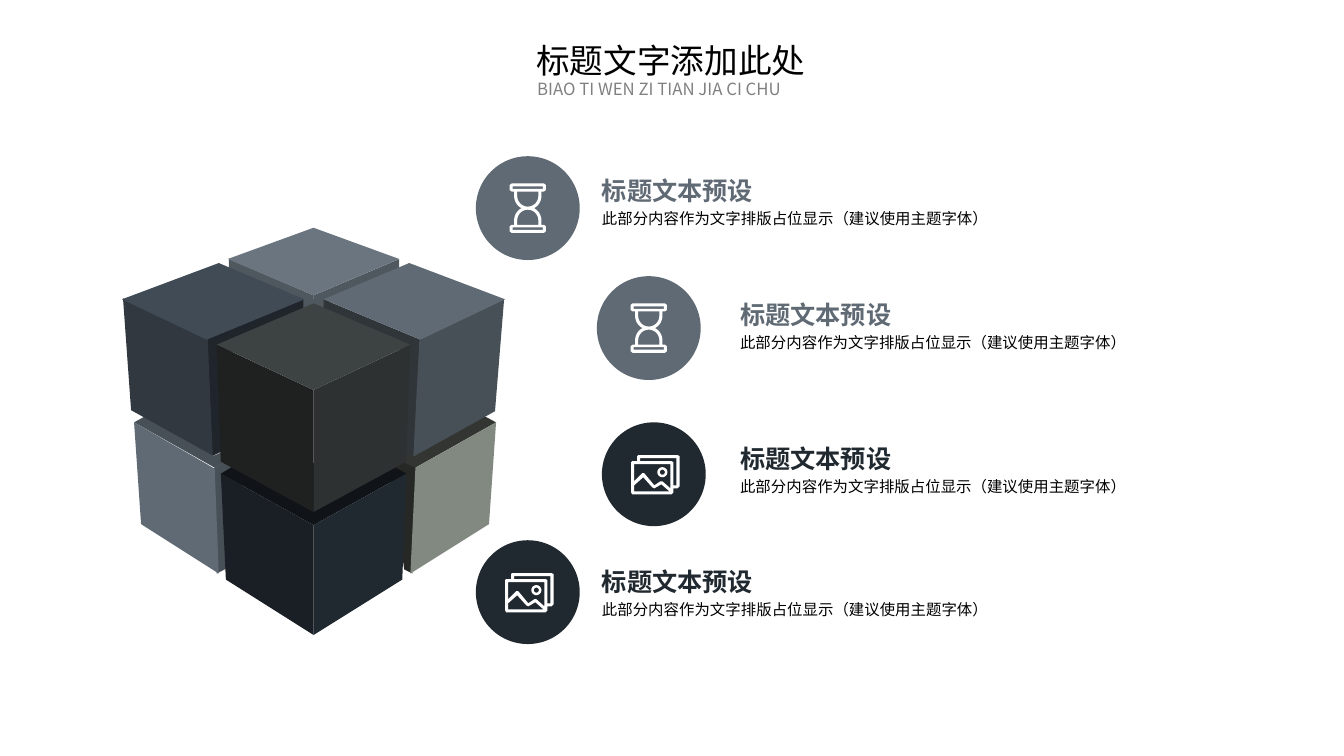
"""Build a slide with a cube of eight blocks and four captioned icons."""
from dataclasses import dataclass
from math import cos, radians, sin
from typing import Callable

from lxml.etree import SubElement
from pptx import Presentation
from pptx.dml.color import RGBColor
from pptx.enum.shapes import MSO_SHAPE
from pptx.enum.text import MSO_ANCHOR as Anchor, MSO_AUTO_SIZE as AutoSize, PP_ALIGN as Align
from pptx.oxml.ns import qn
from pptx.util import Inches, Pt

Point = tuple[float, float]
Contour = list[Point]


@dataclass(frozen=True)
class Theme:
    font: str = "Noto Sans CJK SC"
    slate: str = "606A74"
    navy: str = "212930"
    white: str = "FFFFFF"
    black: str = "000000"
    gray: str = "808080"
    title_size: int = 24
    subtitle_size: int = 12
    heading_size: int = 18
    body_size: int = 11


THEME = Theme()
CIRCLE_SIZE = 1.03
TEXT_WIDTH = 5.21
HEADING_HEIGHT = 0.42
BODY_HEIGHT = 0.96
HEADING = "标题文本预设"
BODY = "此部分内容作为文字排版占位显示（建议使用主题字体）"


@dataclass(frozen=True)
class Face:
    color: str
    corners: Contour


@dataclass(frozen=True)
class Item:
    color: str
    circle: Point
    text: Point
    draw_icon: Callable


CUBE_FACES = [
    Face("50585F", [(2.27, 2.57), (2.27, 2.7), (2.85, 2.97), (2.88, 3.14), (3.11, 3.04), (3.11, 2.93)]),
    Face("485057", [(2.15, 5.69), (2.44, 5.54), (2.37, 4.5), (2.11, 4.65)]),
    Face("20252B", [(2.09, 4.53), (2.29, 4.44), (2.27, 3.52), (3.01, 3.09), (3.01, 2.97), (2.04, 3.37)]),
    Face("262825", [(4.13, 4.64), (3.83, 4.49), (3.71, 4.53), (3.75, 4.72), (3.88, 4.79), (4.01, 5.65),
                    (4.09, 5.69)]),
    Face("50585F", [(3.11, 2.93), (3.96, 2.57), (3.96, 2.67), (3.27, 2.97), (3.28, 3.12), (3.1, 3.08)]),
    Face("101418", [(2.19, 4.7), (2.42, 4.56), (3.91, 4.63), (4.03, 4.7), (3.11, 5.21)]),
    Face("323531", [(4.92, 4.19), (4.6, 4.02), (3.92, 4.28), (4.01, 4.59), (4.12, 4.64)]),
    Face("485057", [(1.33, 4.19), (1.64, 4.02), (2.12, 4.52), (2.24, 4.47), (2.24, 4.58), (2.13, 4.64)]),
    Face("606A74", [(1.4, 5.2), (2.17, 5.69), (2.13, 4.65), (1.33, 4.19)]),
    Face("313840", [(1.3, 4.07), (2.11, 4.52), (2.06, 3.36), (1.22, 2.96)]),
    Face("30353A", [(3.21, 2.97), (3.21, 3.11), (3.97, 3.44), (3.97, 4.47), (4.12, 4.53), (4.17, 3.37)]),
    Face("1F2121", [(2.15, 3.42), (2.19, 4.58), (3.11, 5.08), (3.11, 3.87)]),
    Face("191F24", [(3.11, 6.3), (3.11, 5.21), (2.19, 4.7), (2.24, 5.75)]),
    Face("212930", [(3.11, 5.21), (4.03, 4.7), (3.99, 5.75), (3.11, 6.3)]),
    Face("2E3131", [(3.11, 3.87), (4.07, 3.42), (4.03, 4.58), (3.11, 5.08)]),
    Face("485057", [(4.16, 3.37), (4.1, 4.53), (4.91, 4.08), (5, 2.97)]),
    Face("828980", [(4.07, 5.69), (4.12, 4.64), (4.92, 4.19), (4.85, 5.2)]),
    Face("3D4242", [(2.15, 3.42), (3.11, 3.01), (4.07, 3.42), (3.11, 3.87)]),
    Face("414B56", [(1.21, 2.97), (2.17, 2.61), (3.02, 2.97), (2.05, 3.37)]),
    Face("606A74", [(4.17, 3.37), (3.21, 2.97), (4.06, 2.61), (5.01, 2.97)]),
    Face("6A757F", [(3.11, 2.26), (3.96, 2.57), (3.11, 2.93), (2.26, 2.57)]),
]


def paint(shape, color: str) -> None:
    shape.shadow.inherit = False
    shape.fill.solid()
    shape.fill.fore_color.rgb = RGBColor.from_string(color)
    shape.line.fill.background()


def draw_outline(shapes, contours: list[Contour], color: str, origin: Point = (0, 0)) -> None:
    placed = [[(Inches(origin[0] + x), Inches(origin[1] + y)) for x, y in contour] for contour in contours]
    builder = shapes.build_freeform(*placed[0][0], scale=1.0)
    for index, contour in enumerate(placed):
        if index:
            builder.move_to(*contour[0])
        builder.add_line_segments(contour[1:], close=True)
    paint(builder.convert_to_shape(), color)


def arc(center: Point, radius: float, start: int, end: int, steps: int = 12) -> Contour:
    angles = [radians(start + (end - start) * step / steps) for step in range(steps + 1)]
    return [(center[0] + radius * cos(angle), center[1] + radius * sin(angle)) for angle in angles]


def flip(contour: Contour, x_sign: int, y_sign: int) -> Contour:
    return [(x * x_sign, y * y_sign) for x, y in contour]


def draw_hourglass(shapes, center: Point) -> None:
    bulb_center = (0, -0.12)
    quarter = [(0.16, -0.245), (0.18, -0.23), (0.18, -0.18), (0.16, -0.165), (0.135, -0.165)]
    quarter += arc(bulb_center, 0.135, 0, 63)
    right = quarter + flip(quarter, 1, -1)[::-1]
    outer = right + flip(right, -1, 1)[::-1]
    slot = [(-0.15, -0.215), (0.15, -0.215), (0.15, -0.19), (-0.15, -0.19)]
    bulb = [(-0.105, -0.165), (0.105, -0.165)] + arc(bulb_center, 0.105, 0, 180)
    holes = [flip(hole, 1, sign) for hole in (slot, bulb) for sign in (1, -1)]
    draw_outline(shapes, [outer, *holes], THEME.white, center)


def draw_photos(shapes, center: Point) -> None:
    origin = (center[0] - 0.225, center[1] - 0.19)
    frame = [(0.46, 0), (0.07, 0), (0.06, 0.01), (0.06, 0.06), (0.01, 0.06), (0, 0.07), (0, 0.37),
             (0.01, 0.39), (0.4, 0.39), (0.42, 0.37), (0.42, 0.33), (0.46, 0.33), (0.48, 0.31), (0.48, 0.01)]
    sky = [(0.39, 0.09), (0.39, 0.33), (0.31, 0.26), (0.29, 0.26), (0.23, 0.3), (0.13, 0.18),
           (0.11, 0.18), (0.03, 0.26), (0.03, 0.09)]
    ground = [(0.03, 0.3), (0.12, 0.22), (0.21, 0.32), (0.23, 0.33), (0.3, 0.29), (0.38, 0.36), (0.03, 0.36)]
    back = [(0.45, 0.3), (0.42, 0.3), (0.42, 0.07), (0.4, 0.06), (0.09, 0.06), (0.09, 0.03), (0.45, 0.03)]
    draw_outline(shapes, [frame, sky, ground, back], THEME.white, origin)
    sun = [arc((0.31, 0.17), radius, 0, 345, 23) for radius in (0.05, 0.025)]
    draw_outline(shapes, sun, THEME.white, origin)


ITEMS = [
    Item(THEME.slate, (4.72, 1.55), (5.97, 1.62), draw_hourglass),
    Item(THEME.slate, (5.92, 2.74), (7.34, 2.85), draw_hourglass),
    Item(THEME.navy, (5.97, 4.19), (7.34, 4.28), draw_photos),
    Item(THEME.navy, (4.72, 5.36), (5.97, 5.5), draw_photos),
]


def write(box, text: str, size: int, color: str, bold: bool = False, align: Align = Align.LEFT):
    para = box.text_frame.paragraphs[0]
    para.text = text
    para.alignment = align
    font = para.font
    font.size, font.bold, font.name = Pt(size), bold, THEME.font
    font.color.rgb = RGBColor.from_string(color)
    defaults = para._p.find(f"{qn('a:pPr')}/{qn('a:defRPr')}")
    SubElement(defaults, qn("a:ea"), typeface=THEME.font)
    return para


def add_box(shapes, left: float, top: float, width: float, height: float, inset: bool = False):
    box = shapes.add_textbox(Inches(left), Inches(top), Inches(width), Inches(height))
    frame = box.text_frame
    frame.word_wrap = True
    if not inset:
        frame.margin_left = frame.margin_right = frame.margin_top = frame.margin_bottom = 0
    return box


def draw_item(shapes, item: Item) -> None:
    left, top = item.circle
    size = Inches(CIRCLE_SIZE)
    paint(shapes.add_shape(MSO_SHAPE.OVAL, Inches(left), Inches(top), size, size), item.color)
    item.draw_icon(shapes, (left + CIRCLE_SIZE / 2, top + CIRCLE_SIZE / 2))
    text_left, text_top = item.text
    heading = add_box(shapes, text_left, text_top, TEXT_WIDTH, HEADING_HEIGHT)
    heading.text_frame.vertical_anchor = Anchor.BOTTOM
    write(heading, HEADING, THEME.heading_size, item.color, bold=True)
    body = add_box(shapes, text_left, text_top + HEADING_HEIGHT, TEXT_WIDTH, BODY_HEIGHT)
    write(body, BODY, THEME.body_size, THEME.black).line_spacing = 1.2


def draw_titles(shapes) -> None:
    title = shapes.title
    title.left, title.top, title.width, title.height = Inches(5.22), Inches(0.35), Inches(2.89), Inches(0.5)
    frame = title.text_frame
    frame.word_wrap = False
    frame.auto_size = AutoSize.SHAPE_TO_FIT_TEXT
    frame.vertical_anchor = Anchor.TOP
    write(title, "标题文字添加此处", THEME.title_size, THEME.black)
    subtitle = add_box(shapes, 5.23, 0.73, 2.83, 0.3, inset=True)
    write(subtitle, "BIAO TI WEN ZI TIAN JIA CI CHU", THEME.subtitle_size, THEME.gray, align=Align.JUSTIFY)


def main() -> None:
    deck = Presentation()
    deck.slide_width, deck.slide_height = Inches(13.33), Inches(7.5)
    page = deck.slides.add_slide(deck.slide_layouts[5])
    for face in CUBE_FACES:
        draw_outline(page.shapes, [face.corners], face.color)
    for item in ITEMS:
        draw_item(page.shapes, item)
    draw_titles(page.shapes)
    deck.save("out.pptx")


if __name__ == "__main__":
    main()
